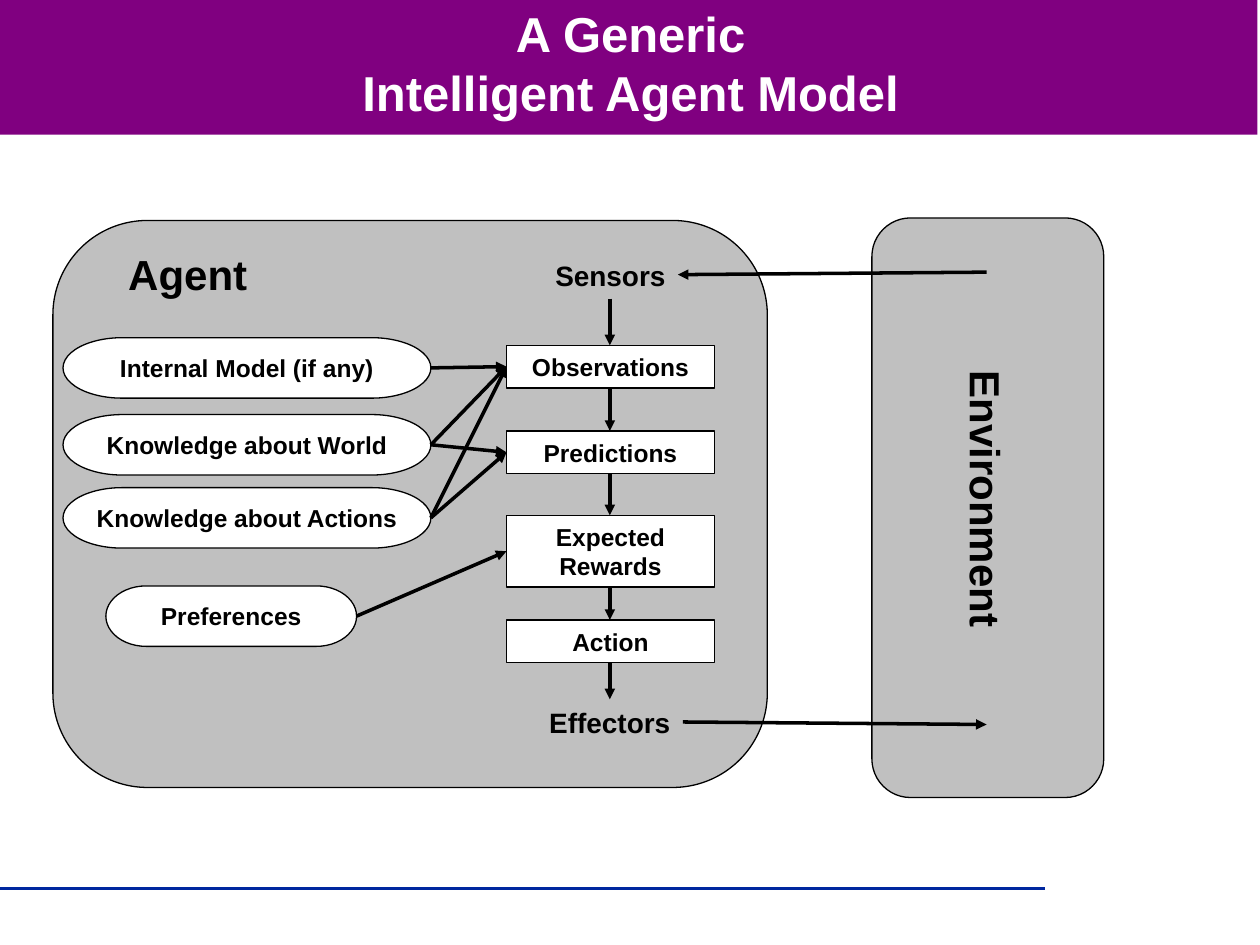
from pptx import Presentation
from pptx.dml.color import RGBColor
from pptx.enum.shapes import MSO_CONNECTOR as Conn, MSO_SHAPE as Kind
from pptx.enum.text import MSO_ANCHOR as Anchor, MSO_AUTO_SIZE as Fit, PP_ALIGN as Align
from pptx.oxml.ns import qn
from pptx.util import Inches, Pt
from lxml.etree import SubElement

HUE = {"band": "800080", "rule": "00279F", "panel": "C0C0C0",
       "white": "FFFFFF", "black": "000000"}


def tint(name):
    return RGBColor.from_string(HUE[name])


def write(shape, text, size, color="black", anchor=Anchor.MIDDLE, wrap=True):
    frame = shape.text_frame
    frame.text = text
    frame.word_wrap = wrap
    frame.auto_size = Fit.NONE
    frame.vertical_anchor = anchor
    for para in frame.paragraphs:
        para.alignment = Align.CENTER
        for run in para.runs:
            font = run.font
            font.name, font.size, font.bold = "Arial", Pt(size), True
            font.color.rgb = tint(color)


def block(slide, kind, x, y, w, h, fill, edge=True):
    shape = slide.shapes.add_shape(kind, Inches(x), Inches(y), Inches(w), Inches(h))
    shape.shadow.inherit = False
    shape.fill.solid()
    shape.fill.fore_color.rgb = tint(fill)
    if edge:
        shape.line.color.rgb = tint("black")
        shape.line.width = Pt(0.75)
    else:
        shape.line.fill.background()
    return shape


def label(slide, text, x, y, w, h, size):
    box = slide.shapes.add_textbox(Inches(x), Inches(y), Inches(w), Inches(h))
    write(box, text, size, anchor=Anchor.TOP, wrap=False)
    return box


def link(slide, start, end, color="black", arrow=True):
    line = slide.shapes.add_connector(
        Conn.STRAIGHT, *(Inches(v) for v in (*start, *end)))
    line.line.color.rgb = tint(color)
    line.line.width = Pt(2)
    if arrow:
        SubElement(line.line._get_or_add_ln(), qn("a:tailEnd"), type="triangle")
    SubElement(line._element.spPr, qn("a:effectLst"))


def header(slide, x, y, w, h):
    block(slide, Kind.RECTANGLE, x, y, w, h, "band", edge=False)
    title = slide.shapes.title
    title.left, title.top = Inches(x + 0.67), Inches(y + 0.08)
    title.width, title.height = Inches(8.67), Inches(0.83)
    write(title, "A Generic\vIntelligent Agent Model", 28, "white")
    # Bring the title in front of the band
    slide.shapes._spTree.append(title._element)


def agent(slide, x, y, w, h):
    block(slide, Kind.FLOWCHART_ALTERNATE_PROCESS, x, y, w, h, "panel")
    label(slide, "Agent", x + 0.5, y + 0.17, 1.14, 0.5, 24)
    mid = x + 4.42
    label(slide, "Sensors", mid - 0.53, y + 0.25, 1.07, 0.37, 16)
    label(slide, "Effectors", mid - 0.58, y + 3.8, 1.16, 0.37, 16)

    # Chain of steps from sensors down to effectors
    steps = [("Observations", 0.99, 0.34), ("Predictions", 1.67, 0.34),
             ("Expected Rewards", 2.34, 0.57), ("Action", 3.17, 0.34)]
    entry, last = {}, y + 0.62
    for text, dy, high in steps:
        top = y + dy
        write(block(slide, Kind.RECTANGLE, x + 3.6, top, 1.65, high, "white"), text, 14)
        link(slide, (mid, last), (mid, top))
        entry[text] = (x + 3.6, top + high / 2)
        last = top + high
    link(slide, (mid, last), (mid, y + 3.8))

    # Knowledge sources and the steps they feed
    stores = [("Internal Model (if any)", 0.08, 0.93, 2.92, ["Observations"]),
              ("Knowledge about World", 0.08, 1.54, 2.92, ["Observations", "Predictions"]),
              ("Knowledge about Actions", 0.08, 2.12, 2.92, ["Observations", "Predictions"]),
              ("Preferences", 0.42, 2.9, 1.99, ["Expected Rewards"])]
    for text, dx, dy, wide, feeds in stores:
        pill = block(slide, Kind.FLOWCHART_TERMINATOR, x + dx, y + dy, wide, 0.48, "white")
        write(pill, text, 14)
        for step in feeds:
            link(slide, (x + dx + wide, y + dy + 0.24), entry[step])


def world(slide, x, y, w, h):
    block(slide, Kind.FLOWCHART_ALTERNATE_PROCESS, x, y, w, h, "panel")
    name = label(slide, "Environment", x - 0.88, y + 1.98, 3.58, 0.5, 24)
    name.rotation = 90
    # Exchange with the agent
    mid = x + 0.91
    link(slide, (mid, y + 0.43), (x - 1.54, y + 0.45))
    link(slide, (x - 1.5, y + 4), (mid, y + 4.02))


def main():
    deck = Presentation()
    deck.slide_width, deck.slide_height = Inches(10), Inches(7.5)
    slide = deck.slides.add_slide(deck.slide_layouts[5])
    header(slide, 0, 0, 9.98, 1.07)
    link(slide, (0, 7.05), (8.29, 7.05), "rule", arrow=False)
    agent(slide, 0.42, 1.75, 5.67, 4.5)
    world(slide, 6.92, 1.73, 1.84, 4.6)
    deck.save("out.pptx")


if __name__ == "__main__":
    main()
